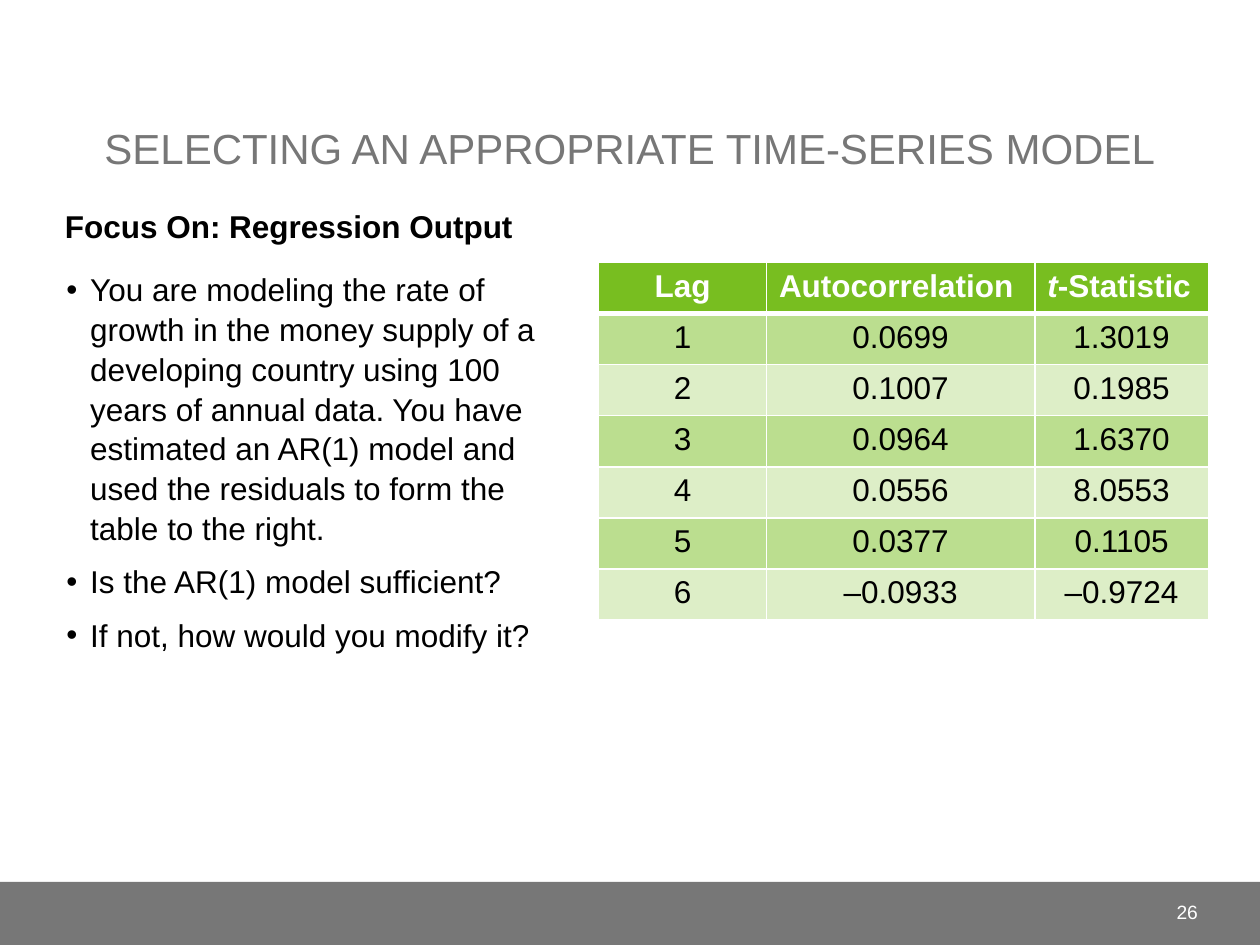
import pptx
import pptx.util
import pptx.dml.color
import pptx.enum.shapes
import pptx.enum.text
import pptx.oxml
import pptx.oxml.ns
import lxml.etree

Cm, Pt = pptx.util.Cm, pptx.util.Pt
ALIGN = pptx.enum.text.PP_ALIGN
ANCHOR = pptx.enum.text.MSO_ANCHOR

FONT = "Arial"
GREY, GREEN, WHITE, BLACK = "777777", "78BE20", "FFFFFF", "000000"

BULLETS = [
    "You are modeling the rate of growth in the money supply of a developing "
    "country using 100 years of annual data. You have estimated an AR(1) model "
    "and used the residuals to form the table to the right.",
    "Is the AR(1) model sufficient?",
    "If not, how would you modify it?",
]
LAG_ROWS = [
    ("1", "0.0699", "1.3019"),
    ("2", "0.1007", "0.1985"),
    ("3", "0.0964", "1.6370"),
    ("4", "0.0556", "8.0553"),
    ("5", "0.0377", "0.1105"),
    ("6", "–0.0933", "–0.9724"),
]


def colour(hex_string):
    return pptx.dml.color.RGBColor.from_string(hex_string)


def add_span(para, text, size=18, tint=BLACK, bold=False, italic=False):
    span = para.add_run()
    span.text = text
    font = span.font
    font.name, font.size, font.bold, font.italic = FONT, Pt(size), bold, italic
    font.color.rgb = colour(tint)


def add_textbox(page, left, top, width, height):
    box = page.shapes.add_textbox(Cm(left), Cm(top), Cm(width), Cm(height))
    box.text_frame.word_wrap = True
    return box.text_frame


def add_child(parent, tag, **attributes):
    child = lxml.etree.SubElement(parent, pptx.oxml.ns.qn(tag))
    for name, value in attributes.items():
        child.set(name, str(value))
    return child


def place_title(page, left, top, width, height):
    title = page.shapes.title
    title.left, title.top = Cm(left), Cm(top)
    title.width, title.height = Cm(width), Cm(height)
    frame = title.text_frame
    frame.auto_size = pptx.enum.text.MSO_AUTO_SIZE.NONE
    frame.vertical_anchor = ANCHOR.BOTTOM
    para = frame.paragraphs[0]
    para.alignment = ALIGN.CENTER
    add_span(para, "SELECTING AN APPROPRIATE TIME-SERIES MODEL", 24, GREY)


def add_heading(page, left, top, width, height):
    para = add_textbox(page, left, top, width, height).paragraphs[0]
    para.line_spacing = 1.05
    add_span(para, "Focus On: Regression Output", bold=True)


def add_bullets(page, left, top, width, height):
    frame = add_textbox(page, left, top, width, height)
    for index, text in enumerate(BULLETS):
        para = frame.add_paragraph() if index else frame.paragraphs[0]
        para.space_before = Pt(8)
        para.line_spacing = 1.05
        properties = para._p.get_or_add_pPr()
        properties.set("marL", str(Cm(0.51)))
        properties.set("indent", str(-Cm(0.48)))
        add_child(properties, "a:buFont", typeface=FONT)
        add_child(properties, "a:buChar", char="•")
        add_span(para, text)


def style_cell(cell, opacity, top_width, bottom_width):
    properties = cell._tc.get_or_add_tcPr()
    widths = {"a:lnL": 1, "a:lnR": 1, "a:lnT": top_width, "a:lnB": bottom_width}
    for tag, width in widths.items():
        line = add_child(properties, tag, w=Pt(width))
        add_child(add_child(line, "a:solidFill"), "a:srgbClr", val=WHITE)
    fill = add_child(properties, "a:solidFill")
    shade = add_child(fill, "a:srgbClr", val=GREEN)
    if opacity < 100:
        add_child(shade, "a:alpha", val=opacity * 1000)


def add_lag_table(page, left, top, column_widths, row_height):
    row_count = len(LAG_ROWS) + 1
    table = page.shapes.add_table(
        row_count, len(column_widths), Cm(left), Cm(top),
        Cm(sum(column_widths)), Cm(row_height * row_count)).table
    for column, width in zip(table.columns, column_widths):
        column.width = Cm(width)
    for row in table.rows:
        row.height = Cm(row_height)

    # Header row
    headers = [(ALIGN.CENTER, [("Lag", False)]),
               (ALIGN.LEFT, [("Autocorrelation", False)]),
               (ALIGN.LEFT, [("t", True), ("-Statistic", False)])]
    for cell, (alignment, pieces) in zip(table.rows[0].cells, headers):
        style_cell(cell, 100, 1, 3)
        para = cell.text_frame.paragraphs[0]
        para.alignment = alignment
        for text, italic in pieces:
            add_span(para, text, tint=WHITE, bold=True, italic=italic)

    # Banded value rows
    for number, values in enumerate(LAG_ROWS, start=1):
        for cell, text in zip(table.rows[number].cells, values):
            style_cell(cell, 50 if number % 2 else 25, 3 if number == 1 else 1, 1)
            para = cell.text_frame.paragraphs[0]
            para.alignment = ALIGN.CENTER
            add_span(para, text)


def add_footer(page, left, top, width, height):
    bar = page.shapes.add_shape(pptx.enum.shapes.MSO_SHAPE.RECTANGLE,
                                Cm(left), Cm(top), Cm(width), Cm(height))
    bar.shadow.inherit = False
    bar.fill.solid()
    bar.fill.fore_color.rgb = colour(GREY)
    bar.line.fill.background()
    # Page number, near the right end of the bar
    frame = add_textbox(page, left + width - 3.18, top + 0.1, 2.18, 1.02)
    frame.vertical_anchor = ANCHOR.MIDDLE
    para = frame.paragraphs[0]
    para.alignment = ALIGN.RIGHT
    add_span(para, "26", 11, WHITE)


def main():
    deck = pptx.Presentation()
    deck.slide_width, deck.slide_height = Cm(25.4), Cm(19.05)
    page = deck.slides.add_slide(deck.slide_layouts[5])
    add_footer(page, 0, 17.78, 25.4, 1.27)
    place_title(page, 1.06, 0.43, 23.28, 3.18)
    add_heading(page, 1.06, 4.01, 23.28, 1.9)
    add_bullets(page, 1.06, 5.29, 10.58, 10.92)
    add_lag_table(page, 12.07, 5.29, [3.38, 5.41, 3.5], 1.03)
    deck.save("out.pptx")


if __name__ == "__main__":
    main()
